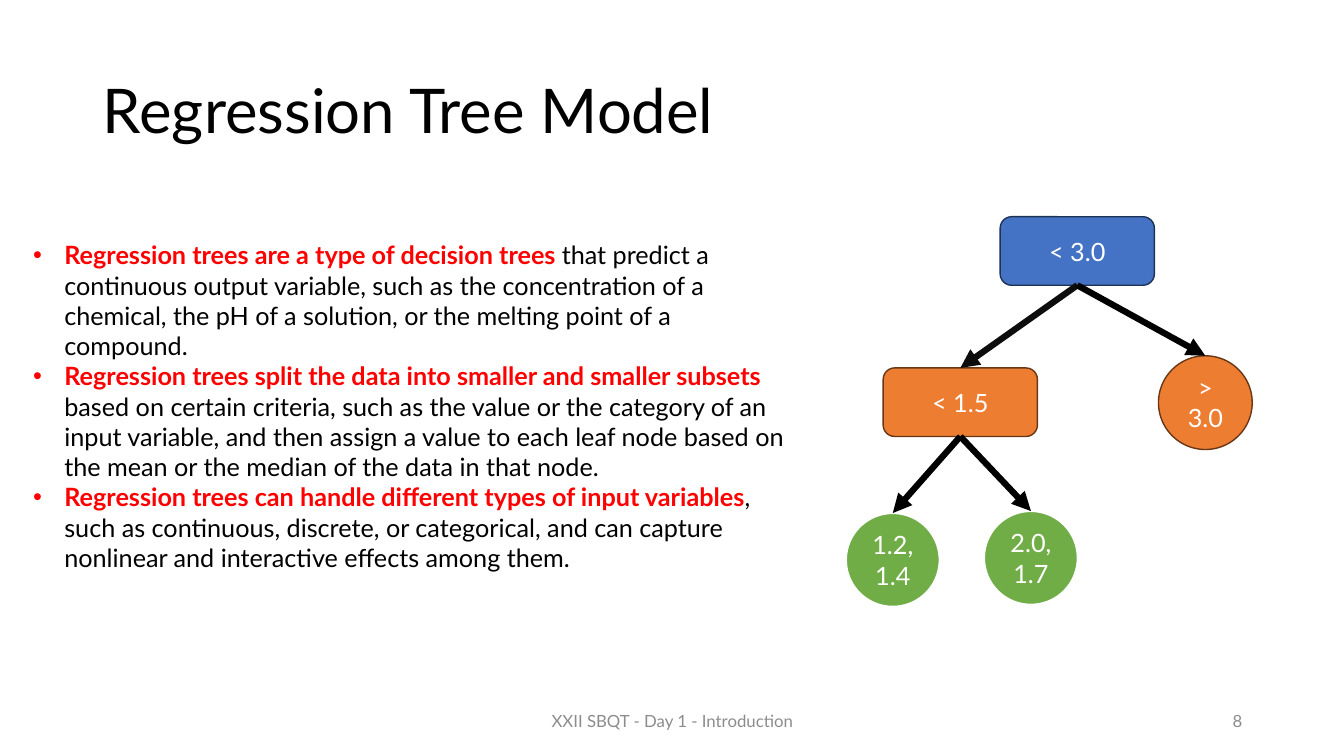
"""Build the slide that explains the regression tree model."""
import pptx
import pptx.dml.color
import pptx.enum.shapes
import pptx.enum.text
import pptx.oxml
import pptx.util
from pptx.util import Inches

ALIGN = pptx.enum.text.PP_ALIGN
SHAPES = pptx.enum.shapes.MSO_SHAPE
NAMESPACE = 'xmlns:a="http://schemas.openxmlformats.org/drawingml/2006/main"'


def color(value):
    """Turn a hex string into a colour."""
    return pptx.dml.color.RGBColor.from_string(value)


def write(paragraph, text, size=18, fill="FFFFFF", bold=False, align=ALIGN.CENTER):
    """Add a formatted run to a paragraph."""
    paragraph.alignment = align
    run = paragraph.add_run()
    run.text = text
    run.font.name = "Lato"
    run.font.size = pptx.util.Pt(size)
    run.font.bold = bold
    run.font.color.rgb = color(fill)


presentation = pptx.Presentation()
presentation.slide_width = Inches(13.33)
presentation.slide_height = Inches(7.5)
slide = presentation.slides.add_slide(presentation.slide_layouts[5])

title = slide.shapes.title
title.left, title.top, title.width, title.height = map(Inches, (0.92, 0.4, 11.5, 1.45))
title.text_frame.auto_size = pptx.enum.text.MSO_AUTO_SIZE.NONE
title.text_frame.vertical_anchor = pptx.enum.text.MSO_ANCHOR.MIDDLE
title_paragraph = title.text_frame.paragraphs[0]
title_paragraph.line_spacing = 0.9
write(title_paragraph, "Regression Tree Model", size=44, fill="000000", align=ALIGN.LEFT)

footers = [
    (4.42, 4.5, "XXII SBQT - Day 1 - Introduction", ALIGN.CENTER),
    (9.42, 3, "8", ALIGN.RIGHT),
]
for left, width, text, align in footers:
    footer = slide.shapes.add_textbox(Inches(left), Inches(6.95), Inches(width), Inches(0.4))
    footer.text_frame.word_wrap = True
    footer.text_frame.vertical_anchor = pptx.enum.text.MSO_ANCHOR.MIDDLE
    write(footer.text_frame.paragraphs[0], text, size=12, fill="8C8C8C", align=align)

box_size, circle_size = (1.53, 0.68), (0.93, 0.93)
nodes = [
    (SHAPES.ROUNDED_RECTANGLE, 9.92, 2.15, box_size, "4472C4", "1E3256", 1, "< 3.0"),
    (SHAPES.ROUNDED_RECTANGLE, 8.76, 3.65, box_size, "ED7D31", "683715", 1, "< 1.5"),
    (SHAPES.OVAL, 11.49, 3.53, circle_size, "ED7D31", "683715", 1, "> 3.0"),
    (SHAPES.OVAL, 8.39, 5.09, circle_size, "70AD47", "FFFFFF", 1.5, "1.2, 1.4"),
    (SHAPES.OVAL, 9.76, 5.07, circle_size, "70AD47", "FFFFFF", 1.5, "2.0,1.7"),
]
tree = {}
for kind, left, top, (width, height), fill, outline, weight, text in nodes:
    node = slide.shapes.add_shape(kind, Inches(left), Inches(top), Inches(width), Inches(height))
    node.shadow.inherit = False
    node.fill.solid()
    node.fill.fore_color.rgb = color(fill)
    node.line.color.rgb = color(outline)
    node.line.width = pptx.util.Pt(weight)
    node.text_frame.word_wrap = True
    node.text_frame.vertical_anchor = pptx.enum.text.MSO_ANCHOR.MIDDLE
    write(node.text_frame.paragraphs[0], text)
    tree[text] = node

edges = [
    ("< 3.0", "< 1.5", "0D0D0D"),
    ("< 3.0", "> 3.0", "000000"),
    ("< 1.5", "1.2, 1.4", "000000"),
    ("< 1.5", "2.0,1.7", "000000"),
]
for parent, child, stroke in edges:
    start, end = tree[parent], tree[child]
    arrow = slide.shapes.add_connector(
        pptx.enum.shapes.MSO_CONNECTOR.STRAIGHT,
        start.left + start.width // 2, start.top + start.height,
        end.left + end.width // 2, end.top)
    arrow.begin_connect(start, 2)
    arrow.end_connect(end, 0)
    arrow.line.color.rgb = color(stroke)
    arrow.line.width = pptx.util.Pt(4.5)
    arrowhead = pptx.oxml.parse_xml(f'<a:tailEnd {NAMESPACE} type="triangle"/>')
    arrow.line._get_or_add_ln().append(arrowhead)
    arrow._element.spPr.append(pptx.oxml.parse_xml(f"<a:effectLst {NAMESPACE}/>"))

points = [
    ("Regression trees are a type of decision trees ",
     "that predict a continuous output variable, such as the concentration of a chemical, "
     "the pH of a solution, or the melting point of a compound."),
    ("Regression trees split the data into smaller and smaller subsets ",
     "based on certain criteria, such as the value or the category of an input variable, and then "
     "assign a value to each leaf node based on the mean or the median of the data in that node."),
    ("Regression trees can handle different types of input variables",
     ", such as continuous, discrete, or categorical, and can capture nonlinear and interactive "
     "effects among them."),
]
body = slide.shapes.add_textbox(Inches(0.23), Inches(2.33), Inches(7.69), Inches(3.13))
body.text_frame.word_wrap = True
body.text_frame.auto_size = pptx.enum.text.MSO_AUTO_SIZE.SHAPE_TO_FIT_TEXT
for index, (lead, detail) in enumerate(points):
    paragraph = body.text_frame.paragraphs[0] if index == 0 else body.text_frame.add_paragraph()
    write(paragraph, lead, fill="FF0000", bold=True, align=ALIGN.LEFT)
    write(paragraph, detail, fill="000000", align=ALIGN.LEFT)
    properties = paragraph._p.get_or_add_pPr()
    properties.set("marL", str(Inches(0.31)))
    properties.set("indent", str(Inches(-0.31)))
    for bullet in ('buFont {} typeface="Arial"', 'buChar {} char="•"'):
        properties.append(pptx.oxml.parse_xml(f"<a:{bullet.format(NAMESPACE)}/>"))

presentation.save("out.pptx")
